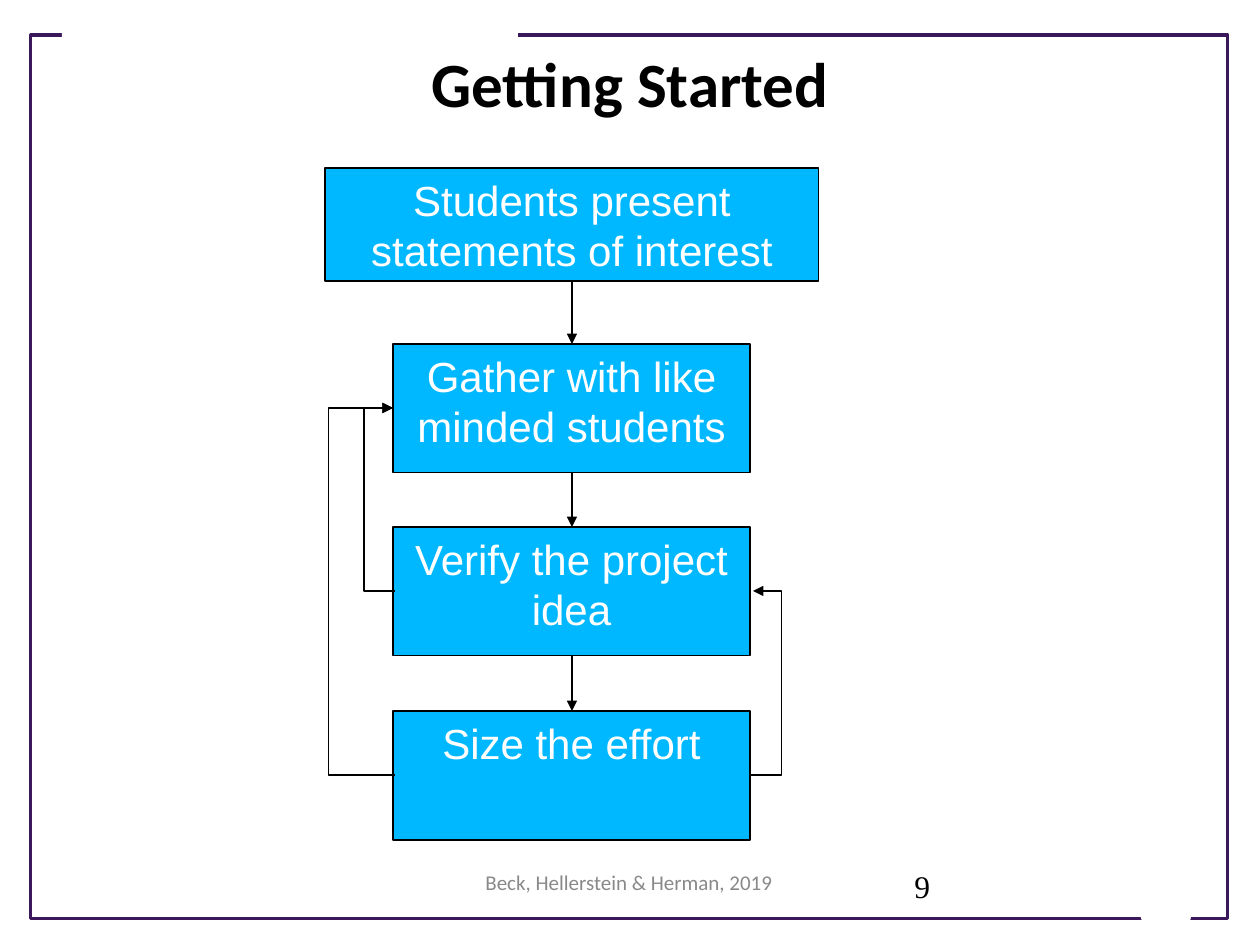
from dataclasses import dataclass
from itertools import pairwise
from lxml.etree import SubElement
from pptx import Presentation
from pptx.dml.color import RGBColor
from pptx.enum.shapes import MSO_CONNECTOR, MSO_SHAPE
from pptx.enum.text import MSO_ANCHOR, PP_ALIGN
from pptx.oxml.ns import qn
from pptx.util import Pt

SCALE = 914400 // 126


@dataclass(frozen=True)
class Theme:
    black: str = "000000"
    white: str = "FFFFFF"
    frame: str = "3B185A"
    box: str = "00B8FF"
    grey: str = "898989"
    head: int = 36
    body: int = 24
    page: int = 18
    foot: int = 12
    thin: float = 0.75
    thick: float = 1.76


class Board:
    def __init__(self, slide, theme):
        self.shapes = slide.shapes
        self.theme = theme

    def paint(self, shape, fill=None, line=None, width=None):
        shape.shadow.inherit = False
        if fill:
            shape.fill.solid()
            shape.fill.fore_color.rgb = RGBColor.from_string(fill)
        else:
            shape.fill.background()
        if line:
            shape.line.color.rgb = RGBColor.from_string(line)
            shape.line.width = Pt(width)
        else:
            shape.line.fill.background()
        return shape

    def rect(self, area, **look):
        place = [v * SCALE for v in area]
        shape = self.shapes.add_shape(MSO_SHAPE.RECTANGLE, *place)
        return self.paint(shape, **look)

    def outline(self, points, **look):
        form = self.shapes.build_freeform(*points[0], scale=SCALE)
        form.add_line_segments(points[1:], close=True)
        return self.paint(form.convert_to_shape(), **look)

    def label(self, shape, words, size, color, font, align=PP_ALIGN.CENTER, bold=False):
        frame = shape.text_frame
        frame.word_wrap = True
        frame.vertical_anchor = MSO_ANCHOR.TOP
        para = frame.paragraphs[0]
        para.alignment = align
        run = para.add_run()
        run.text = words
        run.font.size = Pt(size)
        run.font.name = font
        run.font.bold = bold
        run.font.color.rgb = RGBColor.from_string(color)

    def text(self, area, *style, **more):
        shape = self.shapes.add_textbox(*[v * SCALE for v in area])
        self.label(shape, *style, **more)

    def step(self, area, words):
        t = self.theme
        shape = self.rect(area, fill=t.box, line=t.black, width=t.thin)
        self.label(shape, words, t.body, t.white, "Arial")

    def arrow(self, start, end, bend=None):
        kind = MSO_CONNECTOR.STRAIGHT if bend is None else MSO_CONNECTOR.ELBOW
        ends = [v * SCALE for v in (*start, *end)]
        link = self.shapes.add_connector(kind, *ends)
        link.line.color.rgb = RGBColor.from_string(self.theme.black)
        link.line.width = Pt(self.theme.thin)
        props = link._element.spPr
        SubElement(props.find(qn("a:ln")), qn("a:tailEnd"), type="triangle")
        SubElement(props, qn("a:effectLst"))
        if bend is not None:
            ratio = round((bend - start[0]) / (end[0] - start[0]) * 100000)
            guides = props.find(qn("a:prstGeom")).get_or_add_avLst()
            SubElement(guides, qn("a:gd"), name="adj1", fmla=f"val {ratio}")


deck = Presentation()
deck.slide_width = 1260 * SCALE
deck.slide_height = 945 * SCALE
theme = Theme()
board = Board(deck.slides.add_slide(deck.slide_layouts[6]), theme)

board.rect((31, 35, 1197, 884), line=theme.frame, width=theme.thick)
board.rect((62, 21, 456, 30), fill=theme.white)
board.outline([(1130, 879), (1143, 925), (1189, 925), (1201, 879)], fill=theme.white)

board.text((63, 38, 1134, 157), "Getting Started", theme.head, theme.black, "Calibri", bold=True)
board.text((430, 863, 398, 50), "Beck, Hellerstein & Herman, 2019", theme.foot, theme.grey, "Calibri")
board.text((902, 861, 190, 50), "9", theme.page, theme.black, "Times New Roman", align=PP_ALIGN.LEFT)

left, wide, tall = 393, 357, 129
steps = [
    ((325, 168, 494, 113), "Students present statements of interest"),
    ((left, 344, wide, tall), "Gather with like minded students"),
    ((left, 527, wide, tall), "Verify the project idea"),
    ((left, 711, wide, tall), "Size the effort"),
]
for area, words in steps:
    board.step(area, words)

areas = [area for area, _ in steps]
for upper, lower in pairwise(areas):
    board.arrow((572, upper[1] + upper[3]), (572, lower[1]))

gather, verify, size = [area[1] + tall // 2 for area in areas[1:]]
right = left + wide
for start, end, bend in [
    ((left + 2, verify), (left, gather), 364),
    ((left + 2, size), (left, gather), 328),
    ((right + 1, size), (right + 3, verify), 782),
]:
    board.arrow(start, end, bend)

deck.save("out.pptx")
